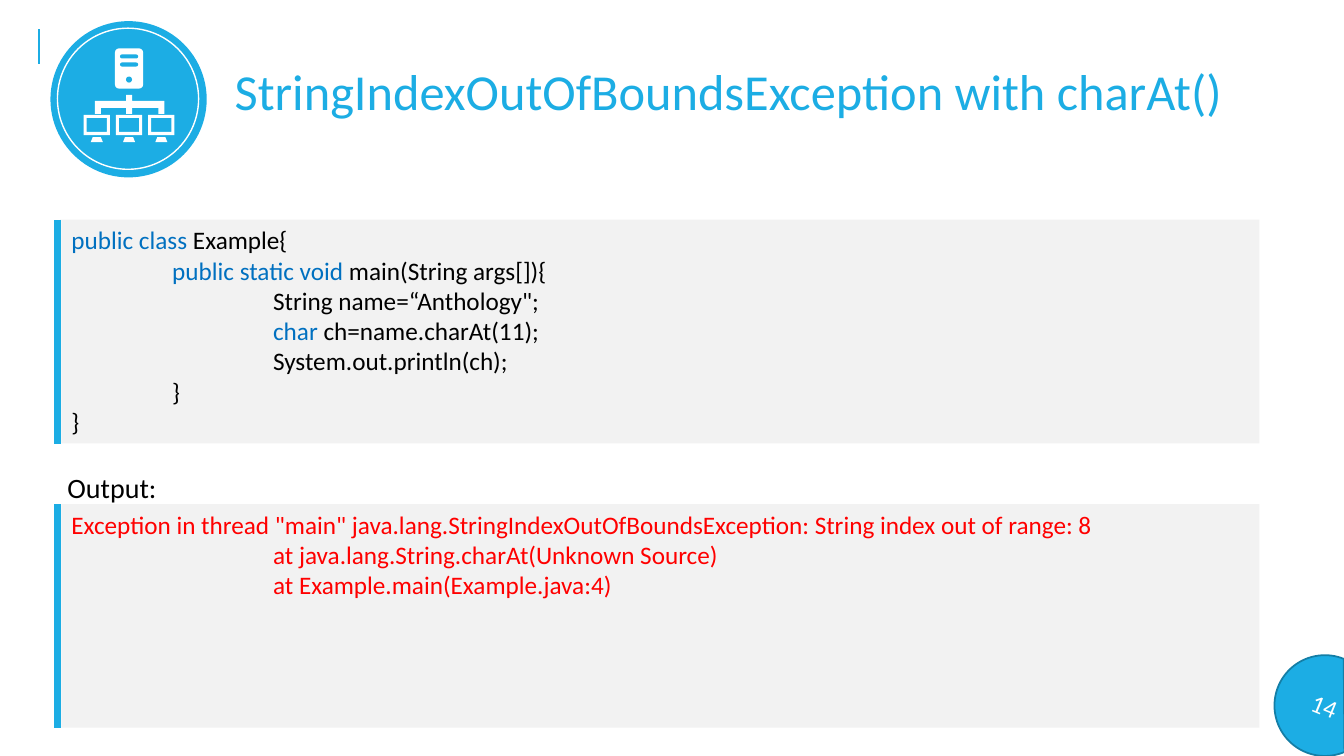
from lxml import etree
from pptx import Presentation
from pptx.dml.color import RGBColor
from pptx.enum.shapes import MSO_CONNECTOR, MSO_SHAPE as Preset
from pptx.enum.text import MSO_ANCHOR, PP_ALIGN
from pptx.oxml.ns import qn
from pptx.util import Inches, Pt

COLORS = {"blue": "1CADE4", "dark_blue": "147EA6", "keyword": "0070C0", "black": "000000",
          "error": "FF0000", "panel": "F2F2F2", "white": "FFFFFF"}
FONT = "Calibri"
TAB_STOPS = [1, 2]

# Each line is a list of (text, colour) pieces.
TITLE = [[("StringIndexOutOfBoundsException with charAt()", "blue")]]
CODE = [
    [("public class", "keyword"), (" Example{", "black")],
    [("\t", "black"), ("public static void", "keyword"), (" main(String args[]){", "black")],
    [("\t\tString name=“Anthology\";", "black")],
    [("\t\t", "black"), ("char", "keyword"), (" ch=name.charAt(11);", "black")],
    [("\t\tSystem.out.println(ch);", "black")],
    [("\t}", "black")],
    [("}", "black")],
]
OUTPUT_LABEL = [[("Output:", "black")]]
OUTPUT = [
    [("Exception in thread \"main\" java.lang.StringIndexOutOfBoundsException: "
      "String index out of range: 8", "error")],
    [("\t\tat java.lang.String.charAt(Unknown Source)", "error")],
    [("\t\tat Example.main(Example.java:4)", "error")],
]
PAGE_NUMBER = [[("14", "white")]]

PANELS = [(2.18, CODE), (5, OUTPUT)]
PANEL_LEFT, PANEL_WIDTH, PANEL_HEIGHT, BAR_X = 0.61, 11.88, 2.22, 0.57

# Emblem parts: preset, left, top, width, height, fill, outline, adjustment
EMBLEM = [
    (Preset.OVAL, 0.5, 0.21, 1.55, 1.55, "blue", None, None),
    (Preset.OVAL, 0.57, 0.28, 1.4, 1.4, "blue", ("white", 1), None),
    (Preset.ROUNDED_RECTANGLE, 1.14, 0.48, 0.28, 0.4, "white", None, 0.15),
    (Preset.ROUNDED_RECTANGLE, 1.19, 0.54, 0.18, 0.04, "blue", None, 0.5),
    (Preset.ROUNDED_RECTANGLE, 1.19, 0.62, 0.18, 0.04, "blue", None, 0.5),
    (Preset.OVAL, 1.25, 0.76, 0.06, 0.06, "blue", None, None),
]
CABLES = [(1.25, 0.94), (1.31, 0.94), (1.31, 1), (1.63, 1), (1.63, 1.13), (1.57, 1.13),
          (1.57, 1.07), (1.31, 1.07), (1.31, 1.13), (1.25, 1.13), (1.25, 1.07), (1, 1.07),
          (1, 1.13), (0.94, 1.13), (0.94, 1), (1.25, 1)]
COMPUTER_LEFT, COMPUTER_STEP, COMPUTERS = 0.83, 0.32, 3


def rgb(name):
    return RGBColor.from_string(COLORS[name])


def style(shape, fill, outline=None):
    shape.shadow.inherit = False
    shape.fill.solid()
    shape.fill.fore_color.rgb = rgb(fill)
    if outline:
        shape.line.color.rgb = rgb(outline[0])
        shape.line.width = Pt(outline[1])
    else:
        shape.line.fill.background()


def add_preset(shapes, preset, left, top, width, height, fill, outline=None, adjustment=None):
    shape = shapes.add_shape(preset, *map(Inches, (left, top, width, height)))
    style(shape, fill, outline)
    if adjustment is not None:
        shape.adjustments[0] = adjustment
    return shape


def add_rule(shapes, x, top, bottom, width):
    rule = shapes.add_connector(MSO_CONNECTOR.STRAIGHT, *map(Inches, (x, top, x, bottom)))
    rule.line.color.rgb = rgb("blue")
    rule.line.width = Pt(width)
    etree.SubElement(rule._element.spPr, qn("a:effectLst"))


def set_tab_stops(paragraph):
    stops = etree.SubElement(paragraph._p.get_or_add_pPr(), qn("a:tabLst"))
    for position in TAB_STOPS:
        etree.SubElement(stops, qn("a:tab"), pos=str(Inches(position)), algn="l")


def write(shape, lines, size, align=PP_ALIGN.LEFT, anchor=MSO_ANCHOR.TOP):
    frame = shape.text_frame
    frame.word_wrap = True
    frame.vertical_anchor = anchor
    for index, line in enumerate(lines):
        paragraph = frame.add_paragraph() if index else frame.paragraphs[0]
        paragraph.alignment = align
        if line[0][0].startswith("\t"):
            set_tab_stops(paragraph)
        for text, color in line:
            run = paragraph.add_run()
            run.text = text
            for key, value in {"name": FONT, "size": Pt(size)}.items():
                setattr(run.font, key, value)
            run.font.color.rgb = rgb(color)


def add_emblem(shapes):
    """Draw a server wired to a row of computers on a round badge."""
    emblem = shapes.add_group_shape().shapes
    for part in EMBLEM:
        add_preset(emblem, *part)
    start, *corners = [(Inches(x), Inches(y)) for x, y in CABLES]
    cables = emblem.build_freeform(*start)
    cables.add_line_segments(corners, close=True)
    style(cables.convert_to_shape(), "white")
    for number in range(COMPUTERS):
        left = COMPUTER_LEFT + number * COMPUTER_STEP
        add_preset(emblem, Preset.FRAME, left, 1.14, 0.26, 0.2, "white", adjustment=0.15)
        add_preset(emblem, Preset.TRAPEZOID, left + 0.07, 1.36, 0.12, 0.05, "white",
                   adjustment=0.4)


def add_panel(shapes, top, lines):
    panel = shapes.add_group_shape().shapes
    write(add_preset(panel, Preset.RECTANGLE, PANEL_LEFT, top, PANEL_WIDTH, PANEL_HEIGHT,
                     "panel"), lines, 18)
    add_rule(panel, BAR_X, top, top + PANEL_HEIGHT, 4.5)


def add_label(shapes, left, top, width, height, lines, size):
    write(shapes.add_textbox(*map(Inches, (left, top, width, height))), lines, size)


def main():
    deck = Presentation()
    deck.slide_width, deck.slide_height = Inches(13.33), Inches(7.5)
    shapes = deck.slides.add_slide(deck.slide_layouts[6]).shapes

    add_rule(shapes, 0.39, 0.29, 0.64, 1.5)
    add_label(shapes, 2.23, 0.55, 10.26, 0.71, TITLE, 36)
    badge = add_preset(shapes, Preset.CHORD, 12.64, 6.5, 1, 1, "blue", ("dark_blue", 1.25), 27)
    badge.adjustments[1] = 161.865
    badge.rotation = 22.2
    write(badge, PAGE_NUMBER, 18, PP_ALIGN.CENTER, MSO_ANCHOR.MIDDLE)
    add_emblem(shapes)
    for top, lines in PANELS:
        add_panel(shapes, top, lines)
    add_label(shapes, 0.57, 4.62, 1.09, 0.44, OUTPUT_LABEL, 20)

    deck.save("out.pptx")


if __name__ == "__main__":
    main()
